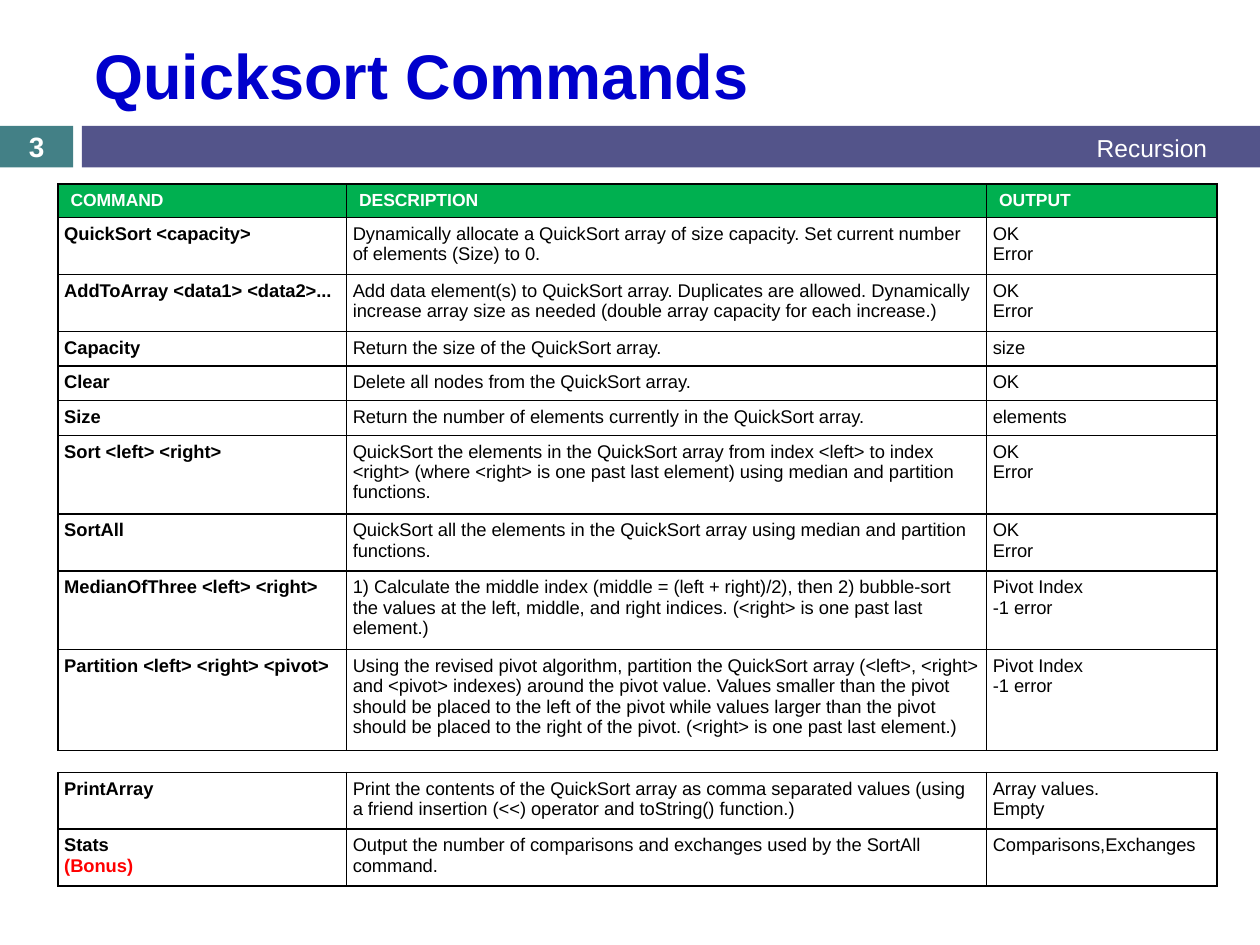
from lxml.etree import SubElement
from pptx import Presentation
from pptx.dml.color import RGBColor
from pptx.enum.shapes import MSO_SHAPE
from pptx.enum.text import MSO_ANCHOR, PP_ALIGN
from pptx.oxml.ns import qn
from pptx.util import Inches, Pt

BLACK, WHITE, RED = "000000", "FFFFFF", "FF0000"
TEAL, PURPLE, BLUE, GREEN = "438086", "53548A", "0000CC", "00B050"

TABLE_LEFT, TABLE_TOP = 0.46, 1.46
COLUMNS = [2.29, 5.08, 1.83]
HEADER_SLOT, LINE, PAD = 0.27, 0.175, 0.05
HEADER = ["COMMAND", "DESCRIPTION", "OUTPUT"]

# Lines reserved for each command, then its three cells
COMMANDS = [
    (2, "QuickSort <capacity>",
     "Dynamically allocate a QuickSort array of size capacity. "
     "Set current number of elements (Size) to 0.", "OK\nError"),
    (2, "AddToArray <data1> <data2>...",
     "Add data element(s) to QuickSort array. Duplicates are allowed. Dynamically "
     "increase array size as needed (double array capacity for each increase.)",
     "OK\nError"),
    (1, "Capacity", "Return the size of the QuickSort array.", "size"),
    (1, "Clear", "Delete all nodes from the QuickSort array.", "OK"),
    (1, "Size", "Return the number of elements currently in the QuickSort array.",
     "elements"),
    (3, "Sort <left> <right>",
     "QuickSort the elements in the QuickSort array from index <left> to index "
     "<right> (where <right> is one past last element) using median and partition "
     "functions.", "OK\nError"),
    (2, "SortAll",
     "QuickSort all the elements in the QuickSort array using median and partition "
     "functions.", "OK\nError"),
    (3, "MedianOfThree <left> <right>",
     "1) Calculate the middle index (middle = (left + right)/2), then 2) bubble-sort "
     "the values at the left, middle, and right indices. (<right> is one past last "
     "element.)", "Pivot Index\n-1 error"),
    (5, "Partition <left> <right> <pivot>",
     "Using the revised pivot algorithm, partition the QuickSort array (<left>, "
     "<right> and <pivot> indexes) around the pivot value. Values smaller than the "
     "pivot should be placed to the left of the pivot while values larger than the "
     "pivot should be placed to the right of the pivot. (<right> is one past last "
     "element.)", "Pivot Index\n-1 error"),
    (2, "PrintArray",
     "Print the contents of the QuickSort array as comma separated values (using a "
     "friend insertion (<<) operator and toString() function.)",
     "Array values.\nEmpty"),
    (2, "Stats\n(Bonus)",
     "Output the number of comparisons and exchanges used by the SortAll command.",
     "Comparisons,Exchanges"),
]


def rgb(color):
    return RGBColor.from_string(color)


def write(tf, text, size, color, bold=False, align=PP_ALIGN.LEFT):
    for i, line in enumerate(text.split("\n")):
        p = tf.paragraphs[0] if i == 0 else tf.add_paragraph()
        p.alignment = align
        r = p.add_run()
        r.text = line
        fmt = {"name": "Arial", "size": Pt(size), "bold": bold}
        for key, value in fmt.items():
            setattr(r.font, key, value)
        r.font.color.rgb = rgb(RED if line == "(Bonus)" else color)


def add_bar(s, left, width, color):
    sp = s.shapes.add_shape(MSO_SHAPE.RECTANGLE, Inches(left), Inches(1),
                            Inches(width), Inches(0.33))
    sp.shadow.inherit = False
    sp.fill.solid()
    sp.fill.fore_color.rgb = rgb(color)
    sp.line.fill.background()


def add_text(s, box, text, size, color, **fmt):
    tf = s.shapes.add_textbox(*map(Inches, box)).text_frame
    tf.word_wrap = True
    tf.vertical_anchor = MSO_ANCHOR.MIDDLE
    write(tf, text, size, color, **fmt)


def set_borders(cell):
    tcPr = cell._tc.get_or_add_tcPr()
    for i, side in enumerate(("lnL", "lnR", "lnT", "lnB")):
        ln = SubElement(tcPr, qn(f"a:{side}"), w=str(Pt(1)))
        fill = SubElement(ln, qn("a:solidFill"))
        SubElement(fill, qn("a:srgbClr"), val=BLACK)
        tcPr.remove(ln)
        tcPr.insert(i, ln)


def fill_cell(cell, text, color, size, fill, bold):
    write(cell.text_frame, text, size, color, bold)
    cell.fill.solid()
    cell.fill.fore_color.rgb = rgb(fill)
    set_borders(cell)


def add_command_table(s, top, height, rows, has_header):
    frame = s.shapes.add_table(len(rows), 3, Inches(TABLE_LEFT), Inches(top),
                               Inches(sum(COLUMNS)), Inches(height))
    table = frame.table
    table.first_row = has_header
    table.horz_banding = False
    for column, width in zip(table.columns, COLUMNS):
        column.width = Inches(width)
    for i, texts in enumerate(rows):
        table.rows[i].height = Inches(0.22)
        for j, text in enumerate(texts):
            cell = table.cell(i, j)
            if has_header and i == 0:
                cell.vertical_anchor = MSO_ANCHOR.MIDDLE
                fill_cell(cell, text, WHITE, 10, GREEN, True)
            else:
                for side in ("left", "right", "top", "bottom"):
                    setattr(cell, f"margin_{side}", Inches(PAD))
                fill_cell(cell, text, BLACK, 10.5, WHITE, j == 0)
    frame.height = Inches(height)


def main():
    prs = Presentation()
    prs.slide_width, prs.slide_height = Inches(10), Inches(7.5)
    s = prs.slides.add_slide(prs.slide_layouts[6])

    # Title and band
    add_bar(s, 0, 0.58, TEAL)
    add_bar(s, 0.65, 9.35, PURPLE)
    add_text(s, (0.65, 0.19, 8.92, 0.8), "Quicksort Commands", 36, BLUE, bold=True)
    add_text(s, (3.75, 1.01, 5.93, 0.33), "Recursion", 14, WHITE,
             align=PP_ALIGN.RIGHT)
    add_text(s, (0, 1, 0.58, 0.33), "3", 16, WHITE, bold=True,
             align=PP_ALIGN.CENTER)

    # One table per command, stacked; the first also carries the header
    top = TABLE_TOP
    for i, (lines, *texts) in enumerate(COMMANDS):
        height = 2 * PAD + LINE * lines
        rows = [texts]
        if i == 0:
            height += HEADER_SLOT
            rows = [HEADER, texts]
        add_command_table(s, top, height, rows, i == 0)
        top += height

    prs.save("out.pptx")


if __name__ == "__main__":
    main()
